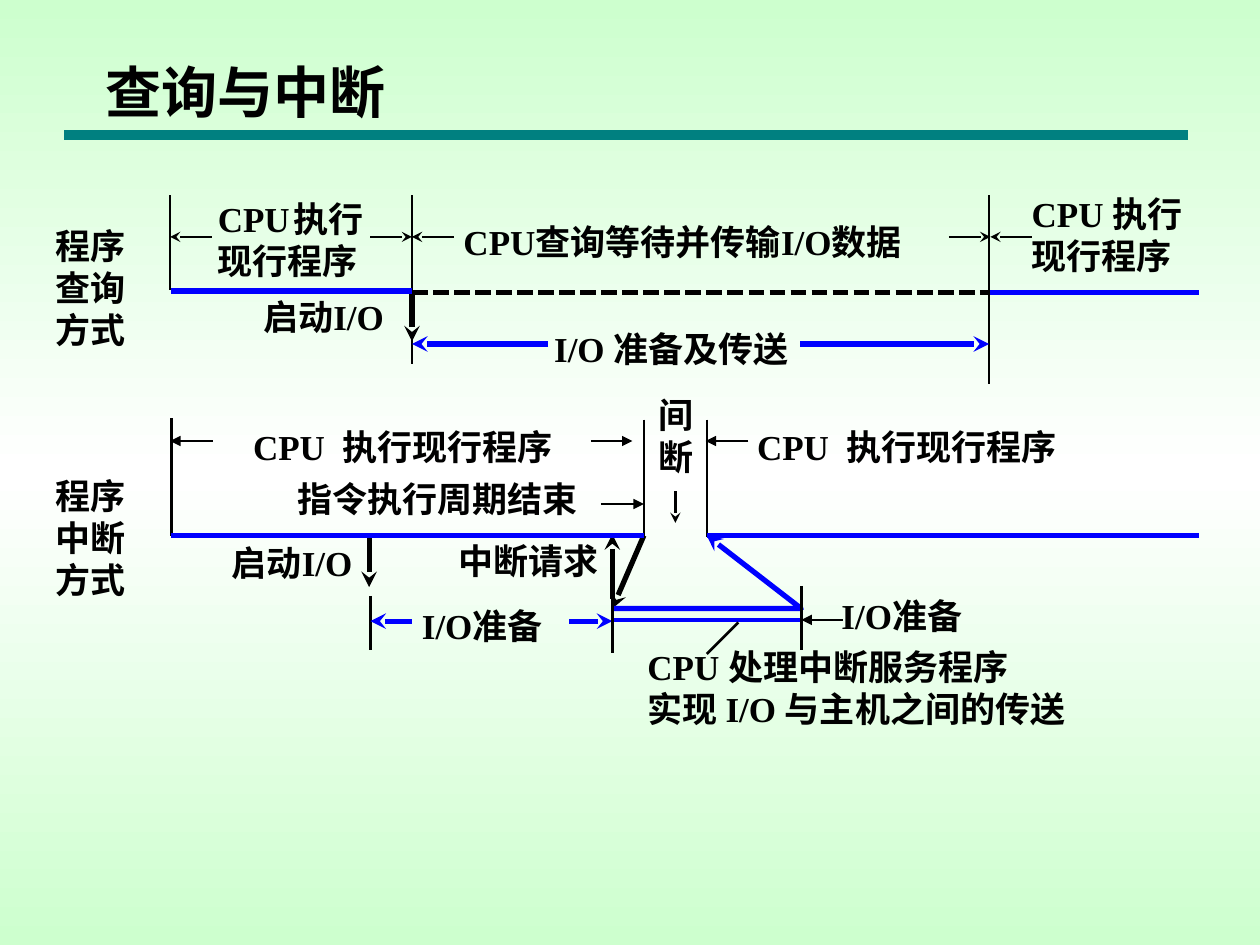
from dataclasses import dataclass
import copy

import pptx
import pptx.dml.color
import pptx.enum.dml
import pptx.enum.shapes
import pptx.enum.text
import pptx.oxml
import pptx.oxml.ns
import pptx.util
from pptx.util import Inches, Pt

RGB = pptx.dml.color.RGBColor
BLACK = RGB(0x00, 0x00, 0x00)
BLUE = RGB(0x00, 0x00, 0xFF)
TEAL = RGB(0x00, 0x80, 0x80)
GREEN = RGB(0xCD, 0xFF, 0xCE)
WHITE = RGB(0xFF, 0xFF, 0xFF)

FONT = {"name": "Times New Roman", "bold": True, "size": Pt(20)}
FRAME = {
    "word_wrap": True,
    "auto_size": pptx.enum.text.MSO_AUTO_SIZE.NONE,
    "vertical_anchor": pptx.enum.text.MSO_ANCHOR.TOP,
    "margin_right": 0,
}
DASH = pptx.enum.dml.MSO_LINE.SQUARE_DOT


@dataclass
class Label:
    text: str
    left: float
    top: float
    width: float
    height: float = 0.44
    gap: float = 0
    space: float = 20


@dataclass
class Stroke:
    points: list
    color: RGB = BLACK
    weight: float = 1.5
    tip: str = ""
    dash: object = None


def wire(x1: float, y1: float, x2: float, y2: float, **style) -> Stroke:
    return Stroke([(x1, y1), (x2, y2)], **style)


def post(x: float, top: float, end: float) -> Stroke:
    return wire(x, top, x, end)


def arrow(x1: float, x2: float, y: float, tip: str = "stealth", **style) -> Stroke:
    return wire(x1, y, x2, y, tip=tip, **style)


def apply(target, values: dict) -> None:
    for key, value in values.items():
        setattr(target, key, value)


def write(shape, text: str, gap: float = 0, space: float = 20, **extra) -> None:
    frame = shape.text_frame
    apply(frame, FRAME)
    for row, line in enumerate(text.split("\n")):
        para = frame.paragraphs[0] if row == 0 else frame.add_paragraph()
        para.alignment = pptx.enum.text.PP_ALIGN.LEFT
        for part in filter(None, line.partition(" ")):
            run = para.add_run()
            run.text = part
            apply(run.font, {**FONT, **extra})
            run.font.color.rgb = BLACK
            if part == " ":
                run.font.size = Pt(space)
                run.font._element.set("spc", str(round(gap * 100)))


def draw_label(slide, label: Label) -> None:
    box = (label.left, label.top, label.width, label.height)
    shape = slide.shapes.add_textbox(*map(Inches, box))
    write(shape, label.text, label.gap, label.space)


def draw_stroke(slide, stroke: Stroke) -> None:
    points = [(Inches(x), Inches(y)) for x, y in stroke.points]
    if len(points) == 2:
        kind = pptx.enum.shapes.MSO_CONNECTOR.STRAIGHT
        shape = slide.shapes.add_connector(kind, *points[0], *points[1])
    else:
        path = slide.shapes.build_freeform(*points[0])
        path.add_line_segments(points[1:], close=False)
        shape = path.convert_to_shape()
        shape.fill.background()
    shape.line.color.rgb = stroke.color
    shape.line.width = Pt(stroke.weight)
    if stroke.dash:
        shape.line.dash_style = stroke.dash
    if stroke.tip:
        outline = shape.element.xpath(".//a:ln")[0]
        tail = pptx.oxml.parse_xml(
            f'<a:tailEnd {pptx.oxml.ns.nsdecls("a")} type="{stroke.tip}"/>'
        )
        outline.append(tail)
    effect = pptx.oxml.parse_xml(f'<a:effectLst {pptx.oxml.ns.nsdecls("a")}/>')
    shape.element.spPr.append(effect)


def paint(slide) -> None:
    fill = slide.background.fill
    fill.gradient()
    fill.gradient_angle = 270
    stops = slide.element.xpath(".//a:gsLst")[0]
    stops.insert(1, copy.deepcopy(stops[0]))
    tones = ((0, GREEN), (0.5, WHITE), (1, GREEN))
    for stop, (place, color) in zip(fill.gradient_stops, tones):
        stop.position = place
        stop.color.rgb = color


BOLD = {"weight": 3}
MAIN = {"color": BLUE, "weight": 3}

POLL = [
    post(1.35, 1.55, 2.3),
    post(3.27, 1.55, 2.3),
    post(7.85, 1.55, 3.05),
    arrow(1.68, 1.35, 1.88),
    arrow(2.94, 3.27, 1.88),
    arrow(3.6, 3.27, 1.88),
    arrow(7.53, 7.86, 1.88),
    arrow(8.19, 7.86, 1.88),
    wire(3.27, 2.3, 3.27, 2.71, tip="stealth", **BOLD),
    post(3.27, 2.65, 2.89),
    wire(3.27, 2.32, 7.85, 2.32, dash=DASH, **BOLD),
    arrow(6.35, 7.85, 2.73, **MAIN),
    arrow(4.35, 3.27, 2.73, **MAIN),
    wire(1.36, 2.31, 3.27, 2.31, **MAIN),
    wire(7.86, 2.32, 9.52, 2.32, **MAIN),
]

BREAK = [
    post(5.11, 3.33, 4.26),
    post(1.36, 3.32, 4.25),
    post(5.61, 3.33, 4.26),
    arrow(4.77, 5.11, 4, "triangle"),
    wire(5.11, 4.25, 4.86, 4.83, tip="stealth", **BOLD),
    Stroke([(4.86, 4.83), (6.36, 4.83), (5.61, 4.25)], tip="stealth", **MAIN),
    wire(4.86, 4.92, 6.36, 4.92, color=BLUE, weight=2.25),
    post(6.36, 4.65, 5.16),
    wire(4.86, 4.75, 4.86, 4.24, tip="stealth", **BOLD),
    wire(2.93, 4.25, 2.93, 4.66, tip="stealth", **BOLD),
    arrow(6.69, 6.36, 4.92, "triangle"),
    post(2.94, 4.73, 5.16),
    arrow(3.27, 2.94, 4.93, **MAIN),
    arrow(4.52, 4.86, 4.93, **MAIN),
    wire(5.36, 3.9, 5.36, 4.15, tip="stealth"),
    post(4.86, 4.75, 5.18),
    arrow(1.69, 1.35, 3.5, "triangle"),
    arrow(4.69, 5.02, 3.5, "triangle"),
    arrow(5.94, 5.6, 3.5, "triangle"),
    wire(5.86, 4.94, 5.61, 5.19),
    wire(1.36, 4.25, 5.11, 4.25, **MAIN),
    wire(5.61, 4.25, 9.52, 4.25, **MAIN),
]

LABELS = [
    Label("程序\n查询\n方式", 0.34, 1.73, 0.75, 1.1),
    Label("CPU 执行\n现行程序", 1.63, 1.52, 1.39, 0.77, space=9),
    Label("CPU查询等待并传输I/O数据", 3.58, 1.7, 3.88),
    Label("CPU 执行\n现行程序", 8.09, 1.48, 1.46, 0.77),
    Label("启动I/O", 1.99, 2.3, 1.22),
    Label("I/O 准备及传送", 4.3, 2.55, 2.13),
    Label("程序\n中断\n方式", 0.34, 3.72, 0.75, 1.1),
    Label("CPU 执行现行程序", 1.91, 3.33, 2.65, gap=5),
    Label("间\n断", 5.13, 3.07, 0.48, 0.77),
    Label("CPU 执行现行程序", 5.91, 3.33, 2.65, gap=5),
    Label("指令执行周期结束", 2.26, 3.74, 2.42),
    Label("启动I/O", 1.74, 4.25, 1.22),
    Label("中断请求", 3.54, 4.23, 1.31),
    Label("I/O准备", 3.25, 4.75, 1.22),
    Label("I/O准备", 6.58, 4.67, 1.22),
    Label("CPU 处理中断服务程序\n实现 I/O 与主机之间的传送", 5.04, 5.07, 3.65, 0.77),
]


def main() -> None:
    deck = pptx.Presentation()
    apply(deck, {"slide_width": Inches(10), "slide_height": Inches(7.5)})
    slide = deck.slides.add_slide(deck.slide_layouts[5])
    paint(slide)
    title = slide.shapes.title
    place = {"left": 0.74, "top": 0.41, "width": 2.42, "height": 0.64}
    apply(title, {key: Inches(value) for key, value in place.items()})
    write(title, "查询与中断", size=Pt(32))
    rule = wire(0.51, 1.07, 9.43, 1.07, color=TEAL, weight=6)
    for stroke in [rule, *POLL, *BREAK]:
        draw_stroke(slide, stroke)
    for label in LABELS:
        draw_label(slide, label)
    deck.save("out.pptx")


if __name__ == "__main__":
    main()
